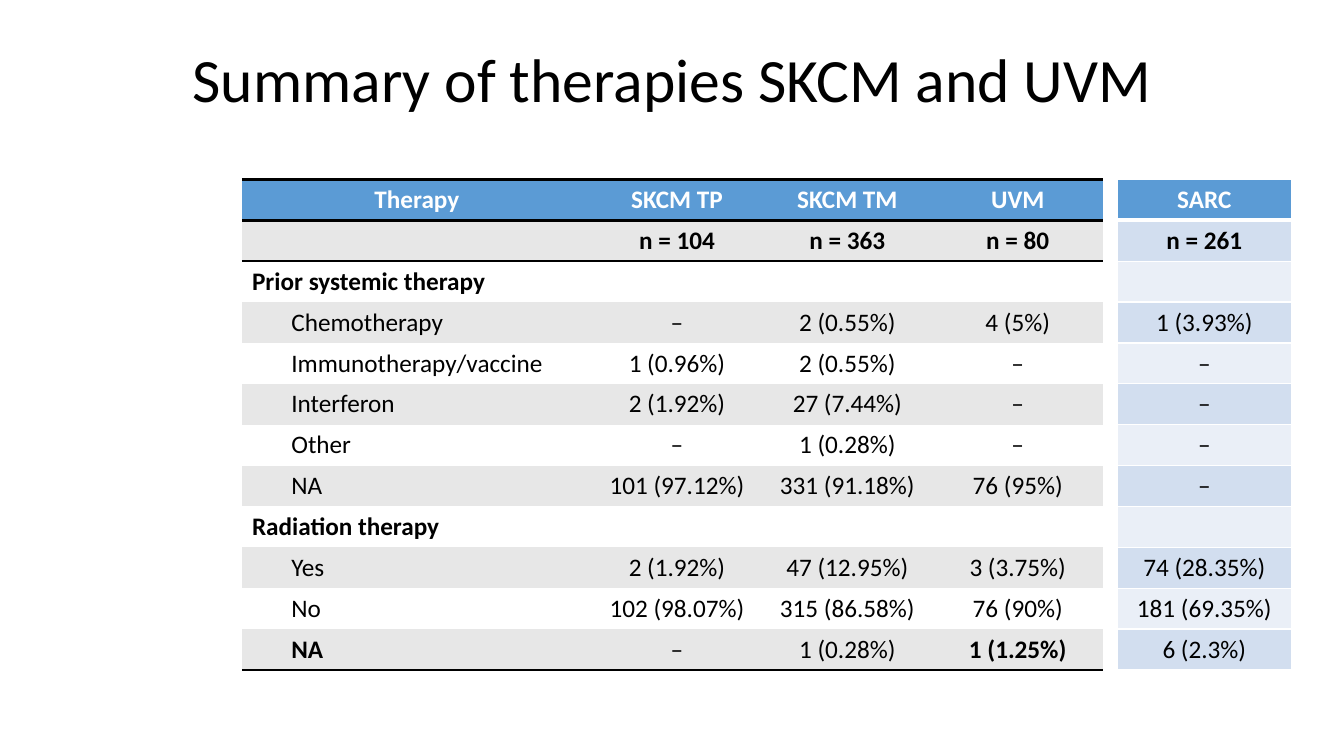
from dataclasses import dataclass

import pptx
import pptx.dml.color
import pptx.enum.text
import pptx.oxml
import pptx.oxml.ns
import pptx.table
import pptx.util

Inches = pptx.util.Inches
Pt = pptx.util.Pt
RGBColor = pptx.dml.color.RGBColor
PP_ALIGN = pptx.enum.text.PP_ALIGN
MSO_ANCHOR = pptx.enum.text.MSO_ANCHOR

BLACK = RGBColor(0x00, 0x00, 0x00)
WHITE = RGBColor(0xFF, 0xFF, 0xFF)
HEADER_BLUE = RGBColor(0x5B, 0x9B, 0xD5)
BAND_GREY = RGBColor(0xE7, 0xE7, 0xE7)
BAND_BLUE = RGBColor(0xD2, 0xDE, 0xEF)
BAND_PALE = RGBColor(0xEA, 0xEF, 0xF7)

FONT = "Calibri"
NO_STYLE_NO_GRID = "{2D5ABB26-0587-4C30-8999-92F81FD0307C}"
TABLE_TOP, TABLE_HEIGHT = 1.78, 4.87
ROW_COUNT = 12


@dataclass(frozen=True)
class TherapyTable:
    """Row rules map a horizontal line (0 = top edge) to its width in points."""
    left: float
    widths: list[float]
    rows: list[list[str]]
    bands: tuple[RGBColor, RGBColor]
    rule_color: RGBColor
    row_rules: dict[int, float]
    side_rule: float
    label_column: bool
    bold_cells: set[tuple[int, int]]


THERAPIES = TherapyTable(
    left=2.4,
    widths=[3.47, 1.69, 1.69, 1.69],
    rows=[
        ["Therapy", "SKCM TP", "SKCM TM", "UVM"],
        ["", "n = 104", "n = 363", "n = 80"],
        ["Prior systemic therapy", "", "", ""],
        ["Chemotherapy", "–", "2 (0.55%)", "4 (5%)"],
        ["Immunotherapy/vaccine", "1 (0.96%)", "2 (0.55%)", "–"],
        ["Interferon", "2 (1.92%)", "27 (7.44%)", "–"],
        ["Other", "–", "1 (0.28%)", "–"],
        ["NA", "101 (97.12%)", "331 (91.18%)", "76 (95%)"],
        ["Radiation therapy", "", "", ""],
        ["Yes", "2 (1.92%)", "47 (12.95%)", "3 (3.75%)"],
        ["No", "102 (98.07%)", "315 (86.58%)", "76 (90%)"],
        ["NA", "–", "1 (0.28%)", "1 (1.25%)"],
    ],
    bands=(WHITE, BAND_GREY),
    rule_color=BLACK,
    row_rules={0: 2, 1: 2, ROW_COUNT: 2},
    side_rule=0,
    label_column=True,
    bold_cells={(2, 0), (8, 0), (11, 0), (11, 3)},
)
SARCOMA = TherapyTable(
    left=11.08,
    widths=[1.73],
    rows=[[value] for value in (
        "SARC", "n = 261", "", "1 (3.93%)", "–", "–", "–", "–", "",
        "74 (28.35%)", "181 (69.35%)", "6 (2.3%)",
    )],
    bands=(BAND_PALE, BAND_BLUE),
    rule_color=WHITE,
    row_rules={line: 3 if line == 1 else 1 for line in range(ROW_COUNT + 1)},
    side_rule=1,
    label_column=False,
    bold_cells=set(),
)
SECTION_ROWS = (2, 8)


def add_border(cell: pptx.table._Cell, side: str, width: float, color: RGBColor) -> None:
    cell._tc.get_or_add_tcPr().append(pptx.oxml.parse_xml(
        f'<a:ln{side} {pptx.oxml.ns.nsdecls("a")} w="{Pt(width)}">'
        f'<a:solidFill><a:srgbClr val="{color}"/></a:solidFill></a:ln{side}>'
    ))


def style_text(paragraph, size: float, color: RGBColor, bold: bool = False) -> None:
    paragraph.font.name = FONT
    paragraph.font.size = Pt(size)
    paragraph.font.color.rgb = color
    paragraph.font.bold = bold


def fill_cell(cell: pptx.table._Cell, table: TherapyTable, row: int, column: int) -> None:
    borders = {
        "L": table.side_rule,
        "R": table.side_rule,
        "T": table.row_rules.get(row, 0),
        "B": table.row_rules.get(row + 1, 0),
    }
    for side, width in borders.items():
        if width:
            add_border(cell, side, width, table.rule_color)

    is_header = row == 0
    cell.fill.solid()
    cell.fill.fore_color.rgb = HEADER_BLUE if is_header else table.bands[row % 2]
    cell.vertical_anchor = MSO_ANCHOR.MIDDLE
    cell.text = table.rows[row][column]

    paragraph = cell.text_frame.paragraphs[0]
    is_label = table.label_column and column == 0 and not is_header
    paragraph.alignment = PP_ALIGN.LEFT if is_label else PP_ALIGN.CENTER
    if is_label and row > 1 and row not in SECTION_ROWS:
        paragraph._p.get_or_add_pPr().set("indent", str(Inches(0.39)))
    bold = row < 2 or (row, column) in table.bold_cells
    style_text(paragraph, 18, WHITE if is_header else BLACK, bold)


def draw_table(slide, table: TherapyTable) -> None:
    frame = slide.shapes.add_table(
        ROW_COUNT, len(table.widths), Inches(table.left), Inches(TABLE_TOP),
        Inches(sum(table.widths)), Inches(TABLE_HEIGHT),
    )
    grid = frame.table
    grid.horz_banding = False
    next(frame.element.iter(pptx.oxml.ns.qn("a:tableStyleId"))).text = NO_STYLE_NO_GRID
    for column, width in enumerate(table.widths):
        grid.columns[column].width = Inches(width)
        for row in range(ROW_COUNT):
            fill_cell(grid.cell(row, column), table, row, column)


def draw_title(slide, text: str) -> None:
    title = slide.shapes.add_textbox(Inches(0.92), Inches(0.4), Inches(11.5), Inches(0.83))
    title.text_frame.word_wrap = True
    title.text_frame.vertical_anchor = MSO_ANCHOR.MIDDLE
    heading = title.text_frame.paragraphs[0]
    heading.text = text
    heading.alignment = PP_ALIGN.CENTER
    heading.line_spacing = 0.9
    style_text(heading, 44, BLACK)


def main() -> None:
    presentation = pptx.Presentation()
    presentation.slide_width = Inches(13.33)
    presentation.slide_height = Inches(7.5)
    slide = presentation.slides.add_slide(presentation.slide_layouts[6])
    draw_title(slide, "Summary of therapies SKCM and UVM")
    for table in (THERAPIES, SARCOMA):
        draw_table(slide, table)
    presentation.save("out.pptx")


if __name__ == "__main__":
    main()
